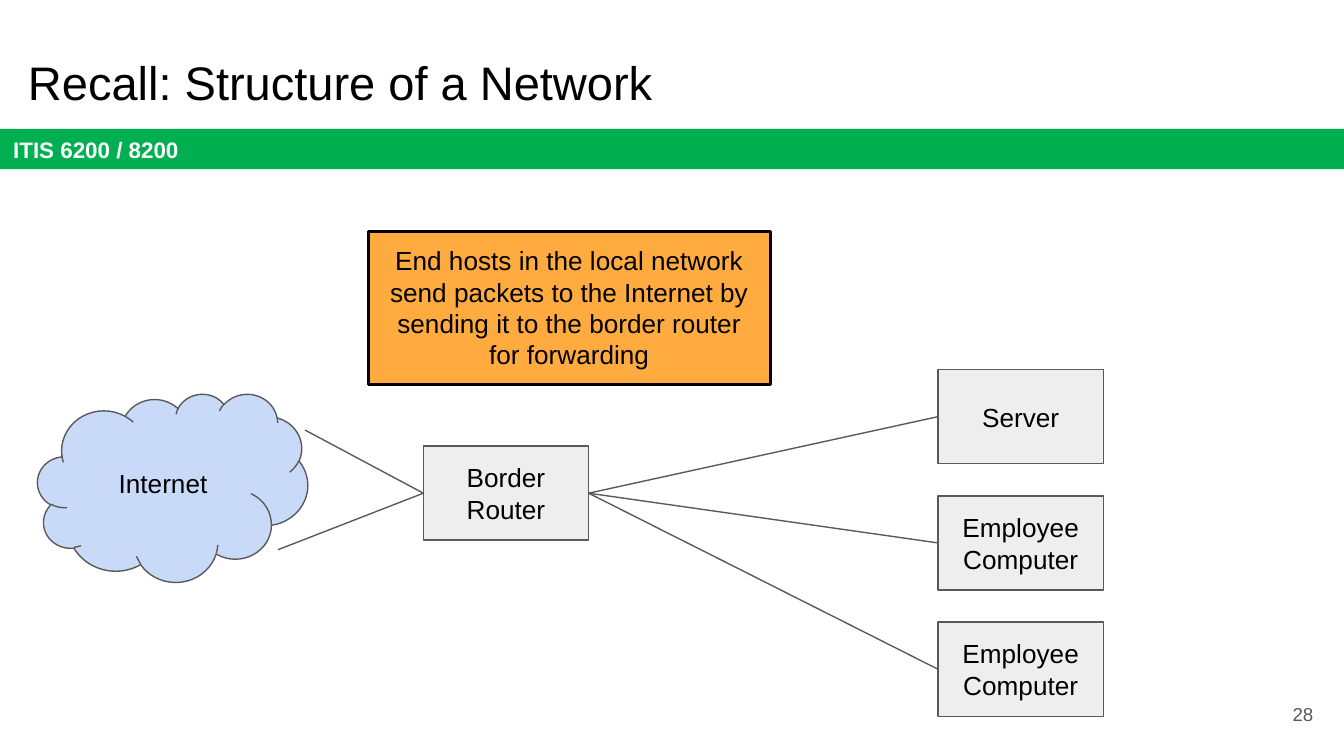
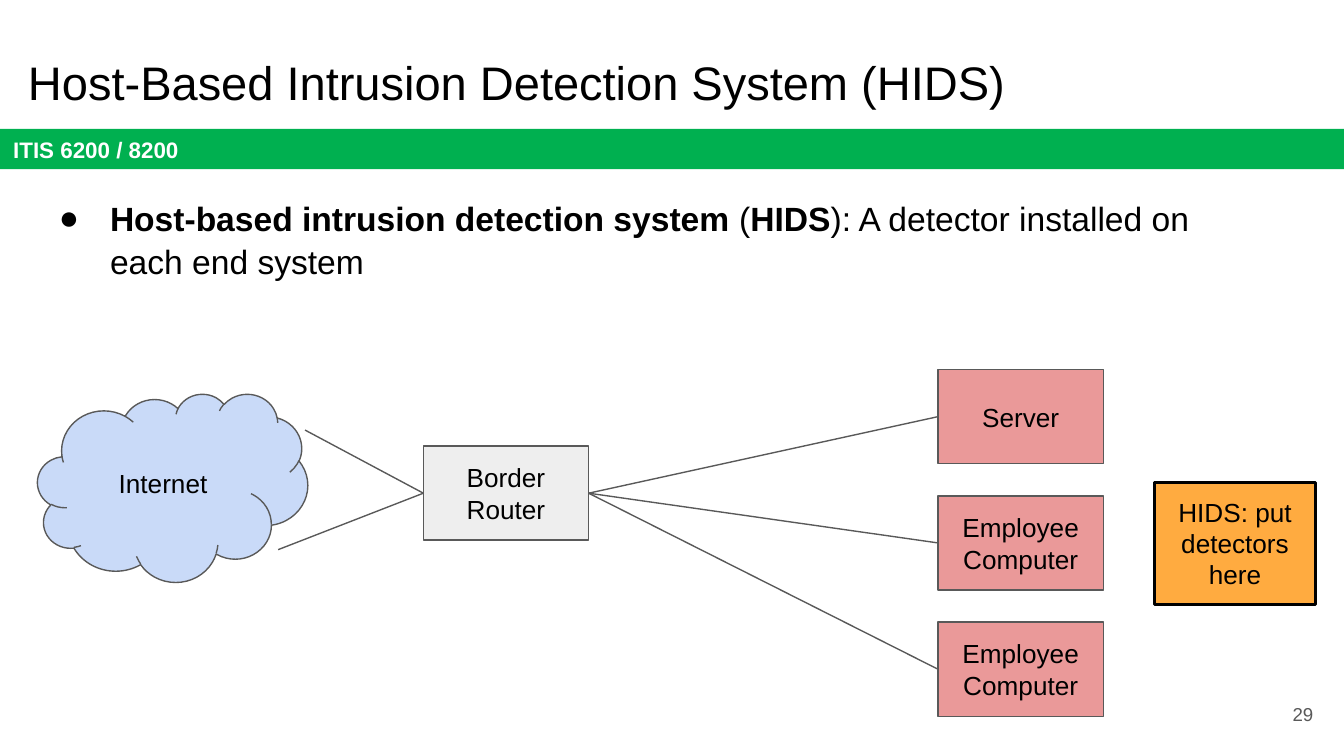
from lxml import etree
from pptx import Presentation
from pptx import util as u
from pptx.dml import color
from pptx.enum import shapes, text
from pptx.oxml import ns

FONT = "Arial"
BLACK, WHITE, GREY = "000000", "FFFFFF", "595959"
GREEN, ORANGE, BLUE = "00B050", "FFAB40", "C9DAF8"
PLAIN, WATCHED = "EEEEEE", "EA9999"
LEFT, CENTER, RIGHT = text.PP_ALIGN.LEFT, text.PP_ALIGN.CENTER, text.PP_ALIGN.RIGHT
TOP, MIDDLE = text.MSO_ANCHOR.TOP, text.MSO_ANCHOR.MIDDLE
RECTANGLE, CLOUD = shapes.MSO_SHAPE.RECTANGLE, shapes.MSO_SHAPE.CLOUD

NODE_WIDTH, NODE_HEIGHT = 1.23, 0.7
HOST_PITCH = 0.94
HOSTS = ["Server", "Employee Computer", "Employee Computer"]
DIAGRAM_BOX = (0.28, 2.75, 7.93, 2.58)


def rgb(value):
    return color.RGBColor.from_string(value)


def inches(box):
    return [u.Inches(length) for length in box]


# Text and shape helpers
def write(shape, runs, size, tint=BLACK, align=LEFT, anchor=MIDDLE):
    """Fill a shape with one paragraph of (wording, bold) runs."""
    frame = shape.text_frame
    frame.word_wrap = True
    frame.vertical_anchor = anchor
    frame.margin_left = frame.margin_right = u.Inches(0.1)
    frame.margin_top = frame.margin_bottom = u.Inches(0.1)
    paragraph = frame.paragraphs[0]
    paragraph.alignment = align
    for wording, bold in runs:
        run = paragraph.add_run()
        run.text = wording
        run.font.name = FONT
        run.font.size = u.Pt(size)
        run.font.bold = bold
        run.font.color.rgb = rgb(tint)
    return paragraph


def add_label(slide, box, runs, size, **style):
    return write(slide.shapes.add_textbox(*inches(box)), runs, size, **style)


def add_block(slide, box, fill, kind=RECTANGLE, line=GREY, width=0.75):
    shape = slide.shapes.add_shape(kind, *inches(box))
    shape.shadow.inherit = False
    shape.fill.solid()
    shape.fill.fore_color.rgb = rgb(fill)
    if line:
        shape.line.color.rgb = rgb(line)
        shape.line.width = u.Pt(width)
    else:
        shape.line.fill.background()
    return shape


def add_node(slide, box, wording, fill, kind=RECTANGLE):
    shape = add_block(slide, box, fill, kind)
    write(shape, [(wording, False)], 14, align=CENTER)
    return shape


def add_link(slide, start, end):
    link = slide.shapes.add_connector(shapes.MSO_CONNECTOR.STRAIGHT, *inches(start + end))
    link.line.color.rgb = rgb(GREY)
    link.line.width = u.Pt(0.75)
    etree.SubElement(link.element.spPr, ns.qn("a:effectLst"))
    return link


# Title, course band and page number
def add_frame(presentation, title, number):
    slide = presentation.slides.add_slide(presentation.slide_layouts[6])
    slide.background.fill.solid()
    slide.background.fill.fore_color.rgb = rgb(WHITE)
    band = add_block(slide, (0, 0.96, 10, 0.3), GREEN, line=None)
    write(band, [("ITIS 6200 / 8200", True)], 12, tint=WHITE)
    add_label(slide, (0.11, 0.3, 9.32, 0.63), [(title, False)], 25.2, anchor=TOP)
    add_label(slide, (9.27, 5.1, 0.6, 0.43), [(str(number), False)], 10,
              tint=GREY, align=RIGHT)
    return slide


# Internet, border router and end hosts
def add_network(slide, box, host_fill):
    left, top, width, height = box
    host_left = left + width - NODE_WIDTH
    router_left, router_top = left + 2.87, top + 0.57
    router_middle = router_top + NODE_HEIGHT / 2

    router = add_node(slide, (router_left, router_top, NODE_WIDTH, NODE_HEIGHT),
                      "Border Router", PLAIN)
    for row, name in enumerate(HOSTS):
        host_top = top + row * HOST_PITCH
        host = add_node(slide, (host_left, host_top, NODE_WIDTH, NODE_HEIGHT),
                        name, host_fill)
        link = add_link(slide, (host_left, host_top + NODE_HEIGHT / 2),
                        (router_left + NODE_WIDTH, router_middle))
        link.begin_connect(host, 1)
        link.end_connect(router, 3)

    add_node(slide, (left, top + 0.18, 2.01, 1.4), "Internet", BLUE, CLOUD)
    for across, down in [(1.99, 0.45), (1.79, 1.34)]:
        link = add_link(slide, (left + across, top + down), (router_left, router_middle))
        link.end_connect(router, 1)


def add_callout(slide, box, wording):
    shape = add_block(slide, box, ORANGE, line=BLACK, width=1.5)
    write(shape, [(wording, False)], 14, align=CENTER, anchor=TOP)


def add_bullet(slide, box, runs):
    paragraph = add_label(slide, box, runs, 18, anchor=TOP)
    paragraph.line_spacing = 1.05
    properties = paragraph._p.get_or_add_pPr()
    properties.set("marL", str(u.Inches(0.5)))
    properties.set("indent", str(u.Inches(-0.38)))
    bullet_color = etree.SubElement(properties, ns.qn("a:buClr"))
    etree.SubElement(bullet_color, ns.qn("a:srgbClr"), val=BLACK)
    etree.SubElement(properties, ns.qn("a:buFont"), typeface=FONT)
    etree.SubElement(properties, ns.qn("a:buChar"), char="●")


# Slides
def add_structure_slide(presentation):
    slide = add_frame(presentation, "Recall: Structure of a Network", 28)
    add_network(slide, DIAGRAM_BOX, PLAIN)
    add_callout(slide, (2.74, 1.72, 2.99, 1.14),
                "End hosts in the local network send packets to the Internet by "
                "sending it to the border router for forwarding")


def add_detection_slide(presentation):
    slide = add_frame(presentation, "Host-Based Intrusion Detection System (HIDS)", 29)
    add_network(slide, DIAGRAM_BOX, WATCHED)
    add_callout(slide, (8.59, 3.59, 1.2, 0.91), "HIDS: put detectors here")
    add_bullet(slide, (0.22, 1.36, 9.32, 0.87), [
        ("Host-based intrusion detection system", True),
        (" (", False),
        ("HIDS", True),
        ("): A detector installed on each end system", False),
    ])


def main():
    presentation = Presentation()
    # Widescreen, 16 to 9
    presentation.slide_width = u.Inches(10)
    presentation.slide_height = u.Inches(10) * 9 // 16
    add_structure_slide(presentation)
    add_detection_slide(presentation)
    presentation.save("out.pptx")


if __name__ == "__main__":
    main()
